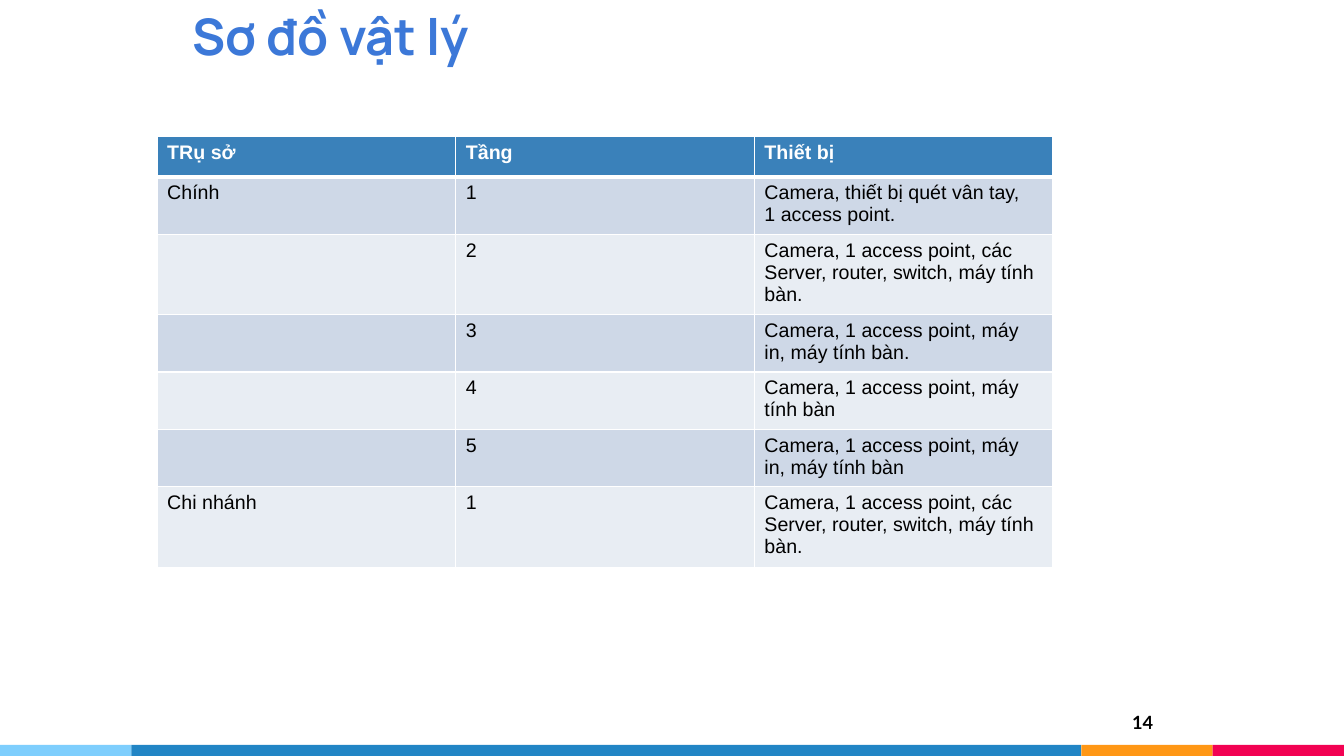
from lxml import etree
from pptx import Presentation
from pptx import util as u
from pptx.dml.color import RGBColor
from pptx.enum import shapes, text
from pptx.oxml.ns import qn

HUES = {
    "title": "3C78D8", "head": "3A81BA", "odd": "CED8E7", "even": "E8EDF3",
    "white": "FFFFFF", "black": "000000", "sky": "7ECEFD", "blue": "2185C5",
    "gold": "FF9715", "pink": "F20253",
}
WIDE, HIGH = 33.87, 19.05

# Each floor: site, floor number, devices, lines of text
SERVERS = ("Camera,\u00a01\u00a0access\u00a0point, các Server, router, switch, "
           "máy tính bàn.\u00a0")
HEADS = ("TRụ sở", "Tầng", "Thiết bị")
FLOORS = [
    ("Chính", "1",
     "Camera,\u00a0thiết bị quét vân tay, 1\u00a0access\u00a0point.\u00a0", 2),
    ("", "2", SERVERS, 3),
    ("", "3", "Camera, 1\u00a0access\u00a0point, máy in, máy tính bàn.", 2),
    ("", "4", "Camera, 1\u00a0access\u00a0point, máy tính bàn", 2),
    ("", "5", "Camera,\u00a01\u00a0access point, máy in, máy tính bàn", 2),
    ("Chi nhánh", "1", SERVERS, 3),
]
HEIGHTS = {1: 1.02, 2: 1.36, 3: 1.92}


def tint(name):
    """Return the named colour."""
    return RGBColor.from_string(HUES[name])


def add_run(para, words, font, size, hue, bold=True):
    """Add one styled run to a paragraph."""
    run = para.add_run()
    run.text = words
    run.font.name = font
    run.font.size = u.Pt(size)
    run.font.bold = bold
    run.font.color.rgb = tint(hue)


def add_label(slide, box, words, font, size, hue, align, anchor):
    """Place a one-line label in the box."""
    frame = slide.shapes.add_textbox(*map(u.Cm, box)).text_frame
    frame.word_wrap = True
    frame.vertical_anchor = anchor
    frame.margin_left = frame.margin_right = u.Cm(0.25)
    frame.margin_top = frame.margin_bottom = u.Cm(0.25)
    para = frame.paragraphs[0]
    para.alignment = align
    add_run(para, words, font, size, hue)


def add_strip(slide, box):
    """Fill the box with the coloured footer strip."""
    left, top, width, height = box
    end = 3.31
    parts = [("sky", end), ("blue", width - 3 * end),
             ("gold", end), ("pink", end)]
    for hue, span in parts:
        bar = slide.shapes.add_shape(
            shapes.MSO_SHAPE.RECTANGLE,
            *map(u.Cm, (left, top, span, height)))
        bar.shadow.inherit = False
        bar.fill.solid()
        bar.fill.fore_color.rgb = tint(hue)
        bar.line.fill.background()
        left += span


def add_edges(cell, above, below):
    """Draw white cell borders, with set widths above and below."""
    props = cell._tc.get_or_add_tcPr()
    for side, size in (("L", 1), ("R", 1), ("T", above), ("B", below)):
        line = etree.SubElement(props, qn("a:ln" + side), w=str(u.Pt(size)))
        fill = etree.SubElement(line, qn("a:solidFill"))
        etree.SubElement(fill, qn("a:srgbClr"), val=HUES["white"])


def add_grid(slide, box):
    """Place the device table in the box, its rows as tall as their text."""
    rows = [(*HEADS, 1)] + FLOORS
    grid = slide.shapes.add_table(
        len(rows), len(HEADS), *map(u.Cm, box)).table
    for col in grid.columns:
        col.width = u.Cm(box[2] / len(HEADS))
    for i, (*words, lines) in enumerate(rows):
        grid.rows[i].height = u.Cm(HEIGHTS[lines])
        head = i == 0
        fill = "head" if head else "odd" if i % 2 else "even"
        for j, word in enumerate(words):
            cell = grid.cell(i, j)
            add_edges(cell, 3 if i == 1 else 1, 3 if head else 1)
            cell.fill.solid()
            cell.fill.fore_color.rgb = tint(fill)
            if word:
                add_run(cell.text_frame.paragraphs[0], word, "Arial", 14,
                        "white" if head else "black", head)


def main():
    """Build and save the slide."""
    deck = Presentation()
    deck.slide_width, deck.slide_height = u.Cm(WIDE), u.Cm(HIGH)
    slide = deck.slides.add_slide(deck.slide_layouts[6])
    add_strip(slide, (0, 18.77, WIDE, 0.28))
    add_label(slide, (27.79, 17.68, 1.52, 1.17), "14", "Lato", 13, "black",
              text.PP_ALIGN.RIGHT, text.MSO_ANCHOR.TOP)
    add_label(slide, (4.6, -0.3, 17.96, 2.21), "Sơ đồ vật lý", "Manrope", 36,
              "title", text.PP_ALIGN.LEFT, text.MSO_ANCHOR.BOTTOM)
    add_grid(slide, (3.96, 3.44, 22.58, 10.3))
    deck.save("out.pptx")


main()
